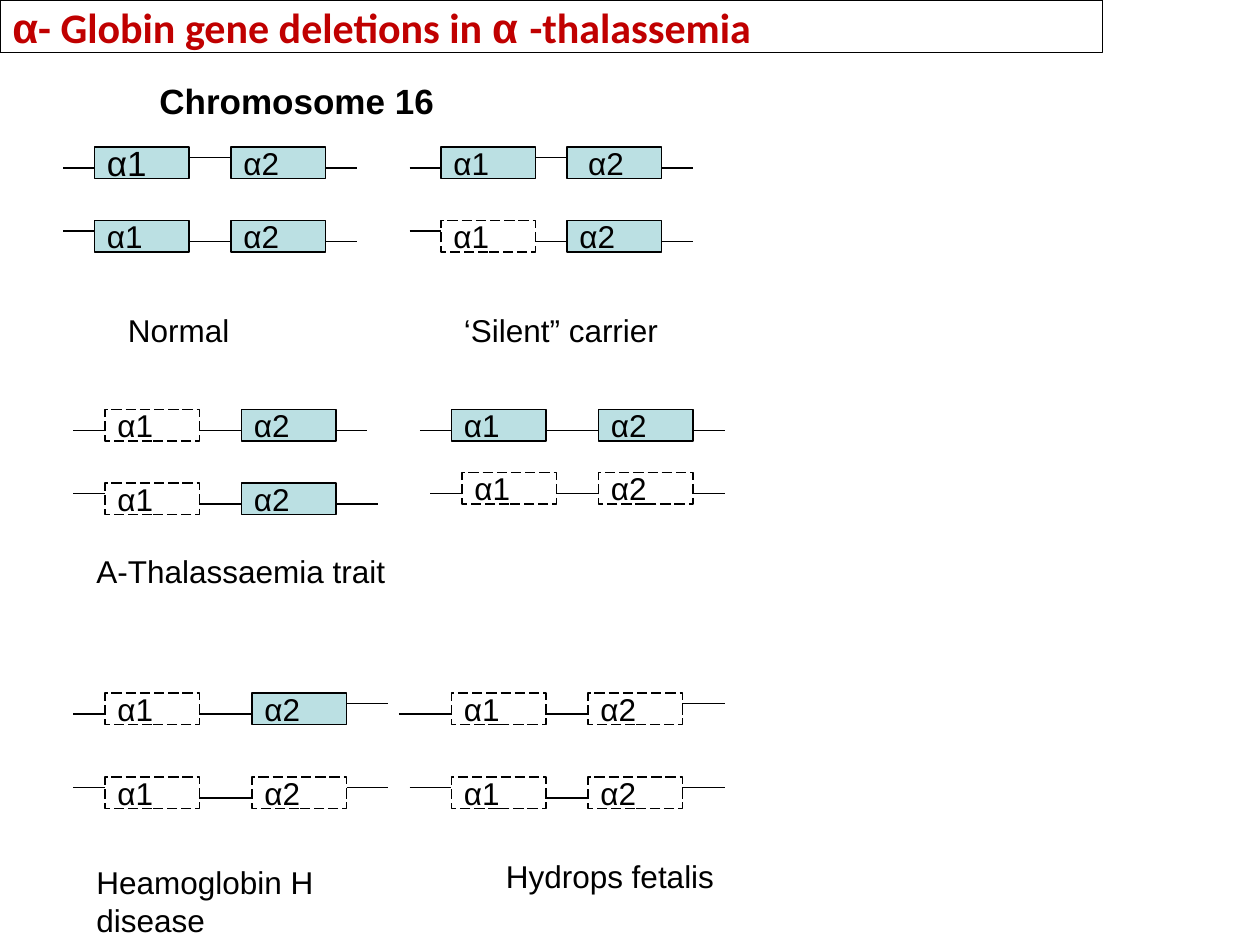
"""Draw the alpha-globin gene deletions on chromosome 16."""
from typing import NamedTuple

from lxml.etree import SubElement
from pptx import Presentation
from pptx.dml.color import RGBColor
from pptx.enum.dml import MSO_LINE
from pptx.enum.shapes import MSO_CONNECTOR, MSO_SHAPE
from pptx.enum.text import MSO_ANCHOR as Anchor, MSO_AUTO_SIZE as Fit, PP_ALIGN as Align
from pptx.oxml.ns import qn
from pptx.util import Emu, Pt

SCALE = 7620
BOX_W, BOX_H = 90, 30
BLACK = RGBColor(0x00, 0x00, 0x00)
WHITE = RGBColor(0xFF, 0xFF, 0xFF)
TEAL = RGBColor(0xBB, 0xE0, 0xE3)
RED = RGBColor(0xC0, 0x00, 0x00)


class Run(NamedTuple):
    text: str
    size: int = 18
    font: str = "Arial"
    bold: bool = False
    color: RGBColor = BLACK


class Gene(NamedTuple):
    x: int
    run: Run
    whole: bool


class Strand(NamedTuple):
    top: int
    start: int
    end: int
    drops: tuple[int, int, int]
    genes: tuple[Gene, Gene]


class Label(NamedTuple):
    x: int
    y: int
    width: int
    height: int
    run: Run
    before: float = 11.2


def one(x: int, whole: bool = True, size: int = 18) -> Gene:
    return Gene(x, Run("α1", size), whole)


def two(x: int, whole: bool = True, text: str = "α2") -> Gene:
    return Gene(x, Run(text), whole)


STRANDS = [
    Strand(140, 60, 340, (20, 10, 20), (one(90, size=20), two(220))),
    Strand(210, 60, 340, (10, 20, 20), (one(90), two(220))),
    Strand(140, 390, 660, (20, 10, 20), (one(420), two(540, text=" α2"))),
    Strand(210, 390, 660, (10, 20, 20), (one(420, False), two(540))),
    Strand(390, 70, 350, (20, 20, 20), (one(100, False), two(230))),
    Strand(460, 70, 360, (10, 20, 20), (one(100, False), two(230))),
    Strand(390, 400, 690, (20, 20, 20), (one(430), two(570))),
    Strand(450, 410, 690, (20, 20, 20), (one(440, False), two(570, False))),
    Strand(660, 70, 370, (20, 20, 10), (one(100, False), two(240))),
    Strand(740, 70, 370, (10, 20, 10), (one(100, False), two(240, False))),
    Strand(660, 380, 690, (20, 20, 10), (one(430, False), two(560, False))),
    Strand(740, 390, 690, (10, 20, 10), (one(430, False), two(560, False))),
]

LABELS = [
    Label(140, 70, 500, 53, Run("Chromosome 16", 20, bold=True), 12.5),
    Label(110, 290, 220, 48, Run("Normal")),
    Label(430, 290, 230, 48, Run("‘Silent” carrier")),
    Label(80, 520, 340, 48, Run("Α-Thalassaemia trait")),
    Label(80, 816, 330, 84, Run("Heamoglobin H disease")),
    Label(470, 810, 230, 48, Run("Hydrops fetalis")),
]

TITLE = [
    Run("α", 24, "Arial", True, RED),
    Run("- Globin gene deletions in ", 24, "Calibri", True, RED),
    Run("α ", 24, "Arial", True, RED),
    Run("-thalassemia", 24, "Calibri", True, RED),
]


def px(*spans: int) -> list[Emu]:
    return [Emu(span * SCALE) for span in spans]


def write(para, runs: list[Run]) -> None:
    para.alignment = Align.LEFT
    for item in runs:
        run = para.add_run()
        run.text = item.text
        font = run.font
        font.name, font.size, font.bold = item.font, Pt(item.size), item.bold
        font.color.rgb = item.color


def ink(line) -> None:
    line.color.rgb = BLACK
    line.width = Pt(0.75)


def draw_box(slide, x: int, y: int, width: int, height: int,
             runs: list[Run], fill: RGBColor | None) -> None:
    box = slide.shapes.add_shape(MSO_SHAPE.RECTANGLE, *px(x, y, width, height))
    box.shadow.inherit = False
    ink(box.line)
    if fill is None:
        box.fill.background()
        box.line.dash_style = MSO_LINE.LONG_DASH
    else:
        box.fill.solid()
        box.fill.fore_color.rgb = fill
    frame = box.text_frame
    frame.word_wrap = False
    frame.vertical_anchor = Anchor.MIDDLE
    write(frame.paragraphs[0], runs)


def draw_line(slide, left: int, right: int, y: int) -> None:
    line = slide.shapes.add_connector(MSO_CONNECTOR.STRAIGHT, *px(left, y, right, y))
    ink(line.line)
    SubElement(line._element.spPr, qn("a:effectLst"))


def draw_strand(slide, strand: Strand) -> None:
    for gene in strand.genes:
        draw_box(slide, gene.x, strand.top, BOX_W, BOX_H,
                 [gene.run], TEAL if gene.whole else None)
    first, last = (gene.x for gene in strand.genes)
    spans = [(strand.start, first), (first + BOX_W, last), (last + BOX_W, strand.end)]
    for (left, right), drop in zip(spans, strand.drops):
        draw_line(slide, left, right, strand.top + drop)


def draw_label(slide, label: Label) -> None:
    box = slide.shapes.add_textbox(*px(label.x, label.y, label.width, label.height))
    frame = box.text_frame
    frame.word_wrap = True
    frame.auto_size = Fit.SHAPE_TO_FIT_TEXT
    para = frame.paragraphs[0]
    para.space_before = Pt(label.before)
    write(para, [label.run])


def main() -> None:
    deck = Presentation()
    deck.slide_width, deck.slide_height = px(1200, 900)
    slide = deck.slides.add_slide(deck.slide_layouts[6])
    for strand in STRANDS:
        draw_strand(slide, strand)
    for label in LABELS:
        draw_label(slide, label)
    draw_box(slide, 0, 0, 1050, 50, TITLE, WHITE)
    deck.save("out.pptx")


if __name__ == "__main__":
    main()
